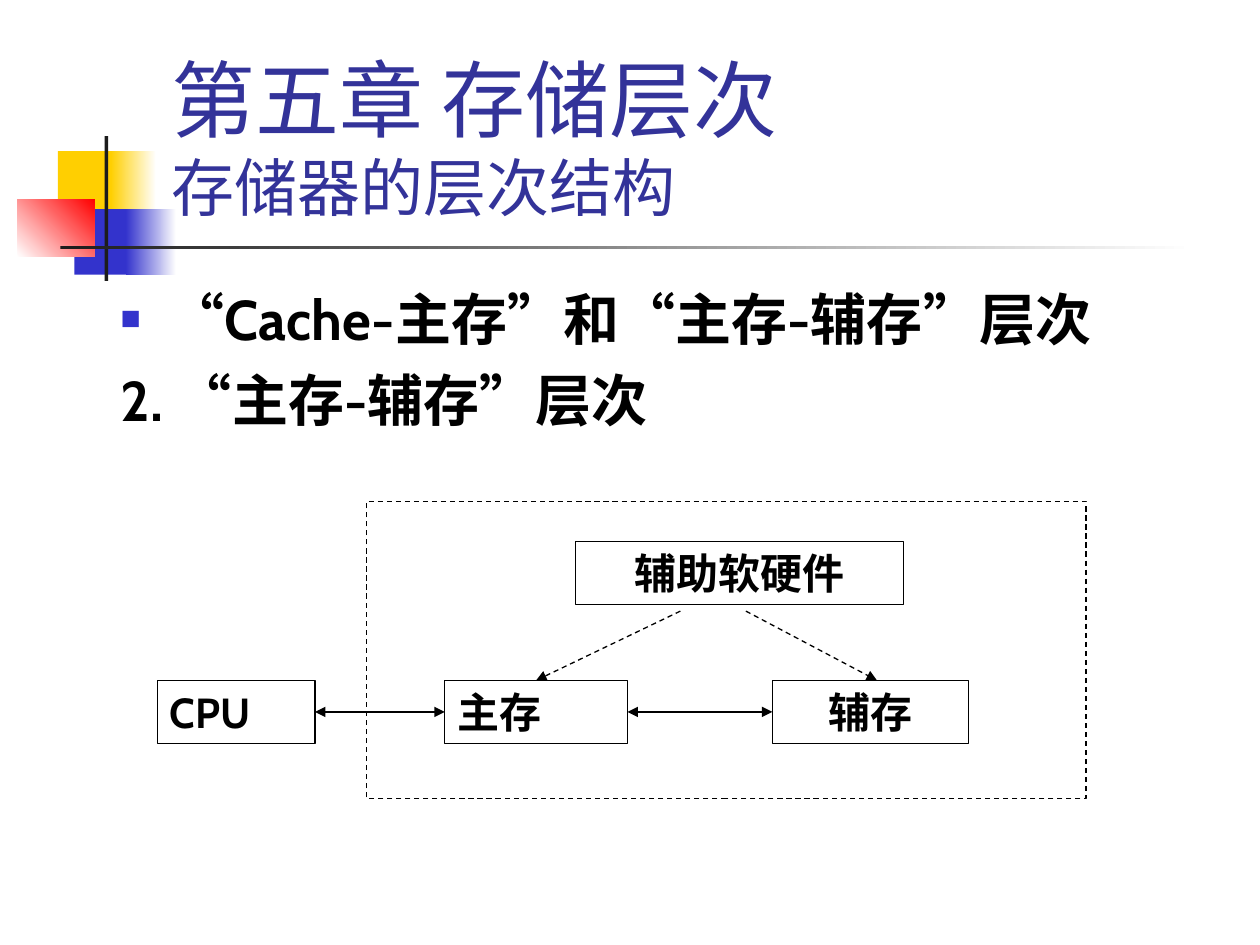
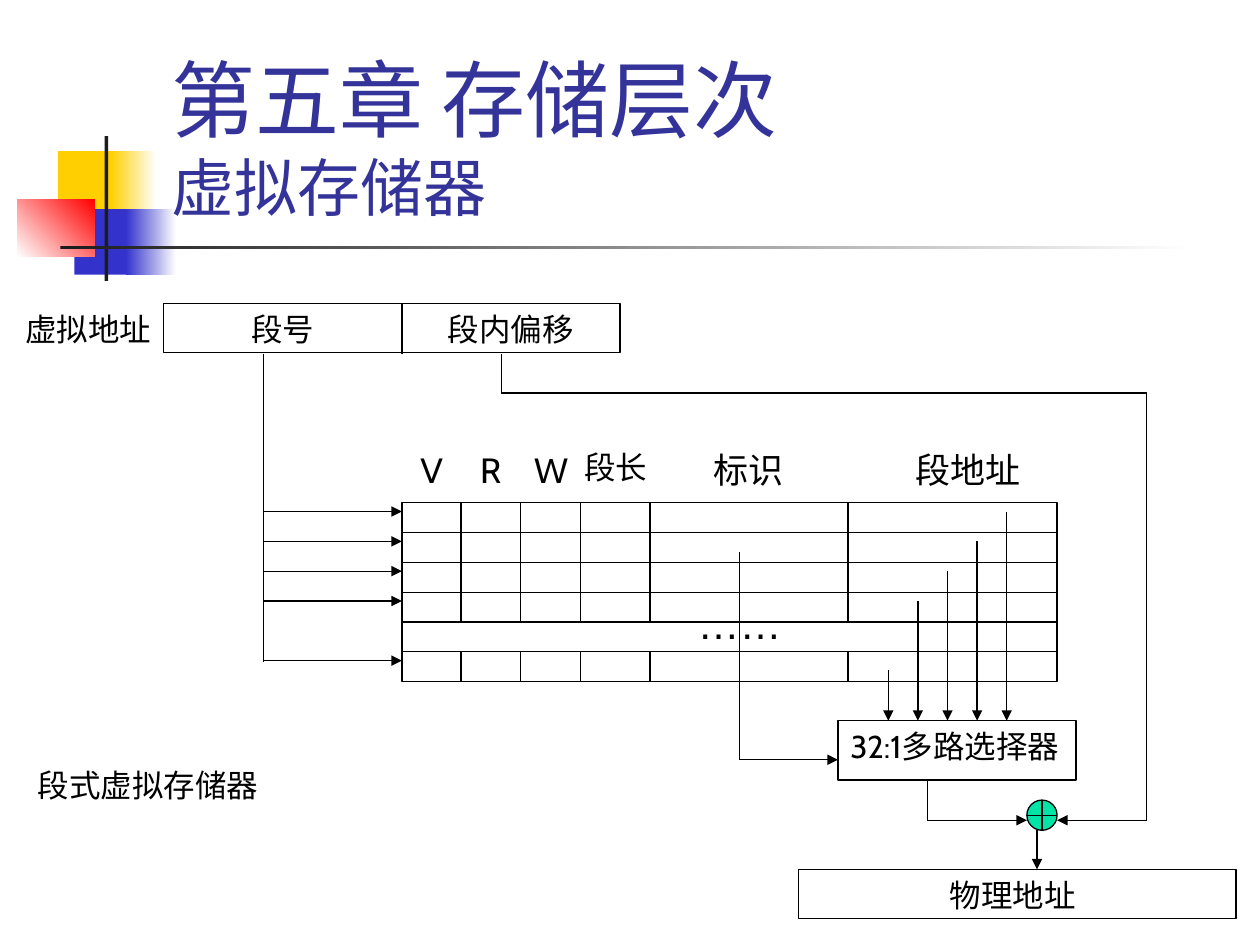
from dataclasses import dataclass
from itertools import chain, groupby
from typing import NamedTuple, Optional

from lxml.etree import SubElement
from pptx import Presentation
from pptx.dml.color import RGBColor
from pptx.enum.dml import MSO_LINE
from pptx.enum.shapes import MSO_CONNECTOR, MSO_SHAPE
from pptx.enum.text import MSO_ANCHOR, PP_ALIGN
from pptx.oxml.ns import qn
from pptx.util import Inches, Pt

YELLOW = RGBColor(0xFF, 0xCF, 0x01)
BLUE = RGBColor(0x33, 0x33, 0xCC)
RED = RGBColor(0xFF, 0x00, 0x00)
WHITE = RGBColor(0xFF, 0xFF, 0xFF)
CHARCOAL = RGBColor(0x1C, 0x1C, 0x1C)
NAVY = RGBColor(0x33, 0x33, 0x99)
BLACK = RGBColor(0x00, 0x00, 0x00)
GREEN = RGBColor(0x00, 0xE4, 0xA8)

FONT = "Cabin"
QUOTE_FONT = "Arial"
QUOTES = "“”"
LINE_WIDTH = Pt(0.75)
CHAPTER = "第五章 存储层次"


class Area(NamedTuple):
    left: float
    top: float
    width: float
    height: float

    def lengths(self) -> list:
        return [Inches(value) for value in self]


class Point(NamedTuple):
    x: float
    y: float


class Band(NamedTuple):
    area: Area
    color: RGBColor
    end_color: Optional[RGBColor] = None
    angle: float = 0


@dataclass
class Label:
    text: str
    area: Area
    size: float = 18
    align: PP_ALIGN = PP_ALIGN.LEFT
    font: str = FONT
    bold: bool = False


@dataclass
class Link:
    start: Point
    end: Point
    head: bool = False
    tail: bool = False
    dashed: bool = False


BANDS = [
    Band(Area(0.46, 1.2, 0.48, 0.52), YELLOW),
    Band(Area(0.88, 1.2, 0.36, 0.52), YELLOW, WHITE),
    Band(Area(0.59, 1.66, 0.46, 0.52), BLUE),
    Band(Area(1, 1.66, 0.4, 0.52), BLUE, WHITE),
    Band(Area(0.14, 1.58, 0.61, 0.46), WHITE, RED, 45),
    Band(Area(0.83, 1.08, 0.03, 1.15), CHARCOAL),
    Band(Area(0.48, 1.95, 9, 0.03), CHARCOAL, WHITE),
]


def style_font(font, size: float, color: RGBColor = BLACK,
               name: str = FONT, bold: bool = False) -> None:
    font.name = name
    font.size = Pt(size)
    font.bold = bold
    font.color.rgb = color


def draw_band(page, band: Band) -> None:
    shape = page.shapes.add_shape(MSO_SHAPE.RECTANGLE, *band.area.lengths())
    shape.shadow.inherit = False
    shape.line.fill.background()
    if band.end_color is None:
        shape.fill.solid()
        shape.fill.fore_color.rgb = band.color
    else:
        shape.fill.gradient()
        shape.fill.gradient_angle = band.angle
        for stop, color in zip(shape.fill.gradient_stops, (band.color, band.end_color)):
            stop.color.rgb = color


def draw_outline(page, area: Area, fill: Optional[RGBColor] = None,
                 dashed: bool = False, kind: MSO_SHAPE = MSO_SHAPE.RECTANGLE):
    shape = page.shapes.add_shape(kind, *area.lengths())
    shape.shadow.inherit = False
    if fill is None:
        shape.fill.background()
    else:
        shape.fill.solid()
        shape.fill.fore_color.rgb = fill
    shape.line.color.rgb = BLACK
    shape.line.width = LINE_WIDTH
    if dashed:
        shape.line.dash_style = MSO_LINE.DASH
    return shape


def draw_link(page, link: Link):
    connector = page.shapes.add_connector(
        MSO_CONNECTOR.STRAIGHT,
        *[Inches(value) for value in chain(link.start, link.end)])
    connector.line.color.rgb = BLACK
    connector.line.width = LINE_WIDTH
    if link.dashed:
        connector.line.dash_style = MSO_LINE.DASH
    properties = connector._element.spPr
    outline = properties.find(qn("a:ln"))
    for tag, wanted in (("a:headEnd", link.head), ("a:tailEnd", link.tail)):
        if wanted:
            SubElement(outline, qn(tag), type="triangle")
    SubElement(properties, qn("a:effectLst"))
    return connector


def fill_label(shape, label: Label) -> None:
    frame = shape.text_frame
    frame.word_wrap = True
    frame.vertical_anchor = MSO_ANCHOR.TOP
    frame.text = label.text
    para = frame.paragraphs[0]
    para.alignment = label.align
    style_font(para.runs[0].font, label.size, name=label.font, bold=label.bold)


def draw_label(page, label: Label) -> None:
    fill_label(page.shapes.add_textbox(*label.area.lengths()), label)


def draw_node(page, label: Label):
    shape = draw_outline(page, label.area)
    fill_label(shape, label)
    return shape


def add_page(deck, subtitle: str):
    page = deck.slides.add_slide(deck.slide_layouts[6])
    for band in BANDS:
        draw_band(page, band)
    frame = page.shapes.add_textbox(*Area(1.26, 0.23, 8.52, 1.6).lengths()).text_frame
    frame.word_wrap = True
    frame.vertical_anchor = MSO_ANCHOR.BOTTOM
    frame.text = f"{CHAPTER}\v{subtitle}"
    for span, size in zip(frame.paragraphs[0].runs, (48, 36)):
        style_font(span.font, size, NAVY)
    return page


def add_bullet(properties) -> None:
    color = SubElement(properties, qn("a:buClr"))
    SubElement(color, qn("a:srgbClr"), val=str(BLUE))
    SubElement(properties, qn("a:buSzPct"), val="60000")
    SubElement(properties, qn("a:buFont"), typeface=QUOTE_FONT)
    SubElement(properties, qn("a:buChar"), char="■")


def draw_outline_text(page) -> None:
    frame = page.shapes.add_textbox(*Area(0.86, 2.21, 8.44, 1.39).lengths()).text_frame
    frame.word_wrap = True
    first, second = frame.paragraphs[0], frame.add_paragraph()
    add_bullet(first._p.get_or_add_pPr())
    second.space_before = Pt(8)
    texts = ("“Cache-主存”和“主存-辅存”层次", "2. “主存-辅存”层次")
    for para, text in zip((first, second), texts):
        properties = para._p.get_or_add_pPr()
        properties.set("marL", str(Inches(0.38)))
        properties.set("indent", str(-Inches(0.38)))
        for quoted, letters in groupby(text, key=lambda letter: letter in QUOTES):
            span = para.add_run()
            span.text = "".join(letters)
            style_font(span.font, 32, name=QUOTE_FONT if quoted else FONT, bold=True)


def build_hierarchy_page(deck) -> None:
    page = add_page(deck, "存储器的层次结构")
    draw_outline_text(page)
    draw_outline(page, Area(2.91, 3.98, 5.71, 2.36), dashed=True)
    processor, main_memory, auxiliary, _ = [
        draw_node(page, Label(text, area, 24, align, bold=True))
        for text, area, align in (
            ("CPU", Area(1.25, 5.4, 1.25, 0.5), PP_ALIGN.LEFT),
            ("主存", Area(3.53, 5.4, 1.45, 0.5), PP_ALIGN.LEFT),
            ("辅存", Area(6.13, 5.4, 1.56, 0.5), PP_ALIGN.CENTER),
            ("辅助软硬件", Area(4.57, 4.3, 2.6, 0.5), PP_ALIGN.CENTER),
        )
    ]
    to_main = draw_link(page, Link(Point(5.4, 4.85), Point(4.26, 5.4), tail=True, dashed=True))
    to_main.end_connect(main_memory, 0)
    draw_link(page, Link(Point(5.92, 4.85), Point(6.96, 5.4), tail=True, dashed=True))
    for left, right in ((processor, main_memory), (main_memory, auxiliary)):
        exchange = draw_link(page, Link(Point(2.5, 5.65), Point(3.53, 5.65), True, True))
        exchange.begin_connect(left, 3)
        exchange.end_connect(right, 1)


TABLE = Area(3.19, 3.99, 5.2, 1.42)
ROW_COUNT = 6
ROW_HEIGHT = TABLE.height / ROW_COUNT
COLUMN_EDGES = (3.66, 4.13, 4.61, 5.16, 6.73)
SEGMENT_X = 2.09
ADDER_Y = 6.51


def row_top(row: int) -> float:
    return TABLE.top + row * ROW_HEIGHT


def draw_segment_table(page) -> None:
    draw_outline(page, TABLE)
    right = TABLE.left + TABLE.width
    for row in range(1, ROW_COUNT):
        draw_link(page, Link(Point(TABLE.left, row_top(row)), Point(right, row_top(row))))
    for x in COLUMN_EDGES:
        for first, last in ((0, 4), (5, 6)):
            draw_link(page, Link(Point(x, row_top(first)), Point(x, row_top(last))))
    for row in (0, 1, 2, 3, 5):
        y = row_top(row) + 0.07
        draw_link(page, Link(Point(SEGMENT_X, y), Point(TABLE.left, y), tail=True))
        x = 7.99 - 0.235 * min(row, 4)
        start = y if row < 4 else 5.32
        draw_link(page, Link(Point(x, start), Point(x, 5.72), tail=True))


def draw_route(page, *points: Point, arrow: bool = True) -> None:
    for start, end in zip(points, points[1:]):
        draw_link(page, Link(start, end, tail=arrow and end == points[-1]))


def build_segment_page(deck) -> None:
    page = add_page(deck, "虚拟存储器")
    for area in (Area(1.3, 2.41, 3.62, 0.39), Area(6.65, 5.72, 1.89, 0.47),
                 Area(6.34, 6.9, 3.47, 0.39)):
        draw_outline(page, area)
    draw_segment_table(page)

    center = PP_ALIGN.CENTER
    for label in (
        Label("虚拟地址", Area(0, 2.41, 1.3, 0.4), align=PP_ALIGN.RIGHT),
        Label("段号", Area(1.3, 2.41, 1.89, 0.4), align=center),
        Label("段内偏移", Area(3.19, 2.41, 1.73, 0.4), align=center),
        Label("V", Area(3.19, 3.51, 0.47, 0.44), 20, center),
        Label("R", Area(3.58, 3.51, 0.63, 0.44), 20, center),
        Label("W", Area(4.06, 3.51, 0.63, 0.44), 20, center),
        Label("段长", Area(4.53, 3.51, 0.71, 0.4), align=center),
        Label("标识", Area(5.16, 3.51, 1.57, 0.44), 20, center),
        Label("段地址", Area(6.5, 3.51, 2.36, 0.44), 20, center),
        Label("……", Area(3.27, 4.69, 5.2, 0.5), 24, center, QUOTE_FONT),
        Label("32:1多路选择器", Area(6.65, 5.72, 1.97, 0.7)),
        Label("物理地址", Area(7.44, 6.9, 1.42, 0.4)),
        Label("段式虚拟存储器", Area(0.2, 6.03, 2.13, 0.4)),
    ):
        draw_label(page, label)

    draw_outline(page, Area(8.15, 6.35, 0.24, 0.24), GREEN, kind=MSO_SHAPE.FLOWCHART_OR)
    draw_route(page, Point(3.19, 2.41), Point(3.19, 2.81), arrow=False)
    draw_route(page, Point(SEGMENT_X, 2.81), Point(SEGMENT_X, 5.25), arrow=False)
    draw_route(page, Point(5.87, 4.38), Point(5.87, 6.03), Point(6.65, 6.03))
    draw_route(page, Point(7.36, 6.19), Point(7.36, ADDER_Y), Point(8.15, ADDER_Y))
    draw_route(page, Point(3.98, 2.81), Point(3.98, 3.12), Point(9.1, 3.12),
               Point(9.1, ADDER_Y), Point(8.39, ADDER_Y))
    draw_route(page, Point(8.23, 6.59), Point(8.23, 6.9))


def main() -> None:
    deck = Presentation()
    deck.slide_width, deck.slide_height = Inches(10), Inches(7.5)
    build_hierarchy_page(deck)
    build_segment_page(deck)
    deck.save("out.pptx")


if __name__ == "__main__":
    main()
